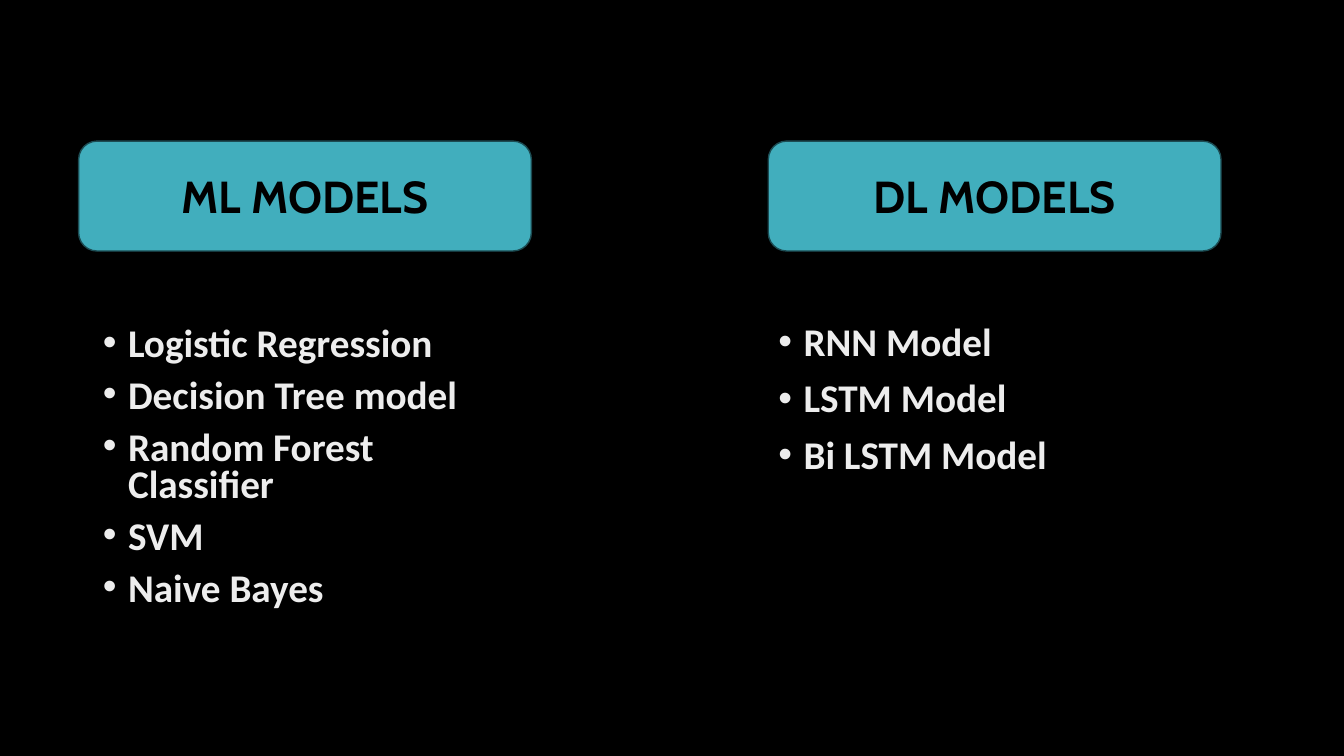
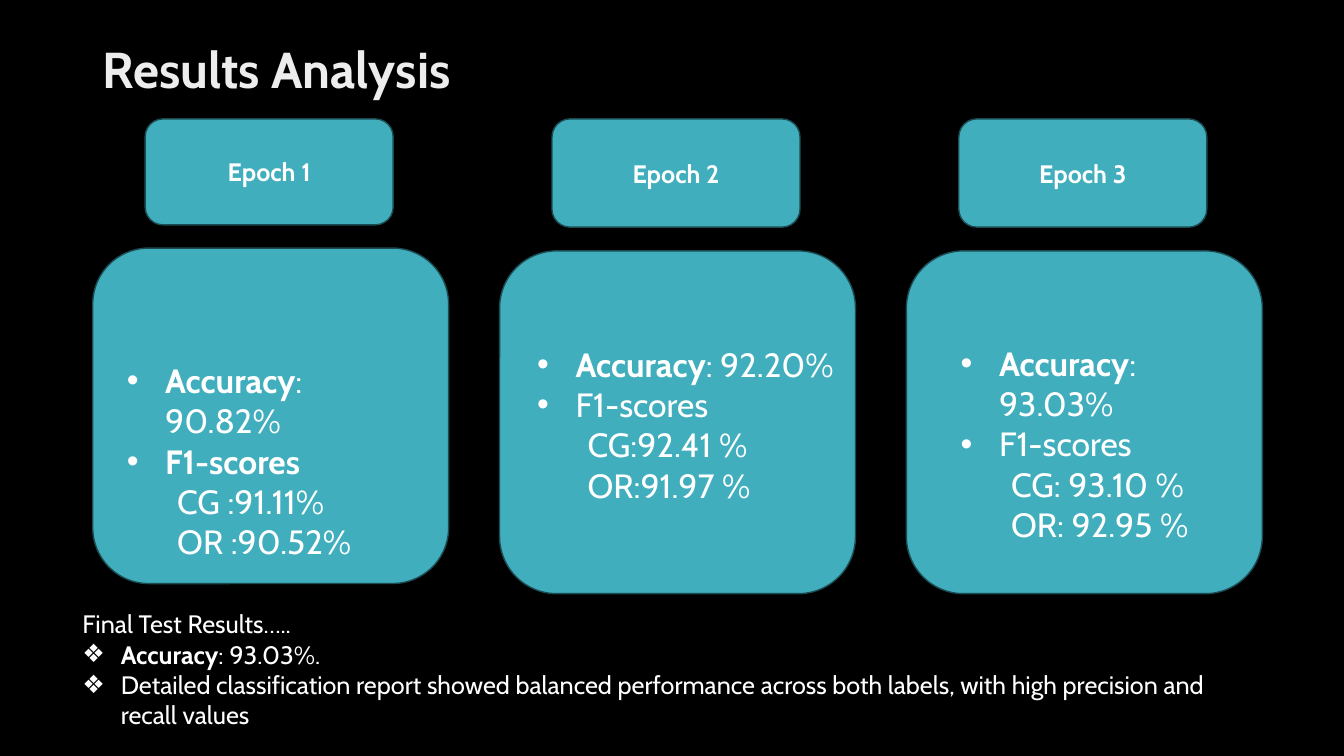
import pptx
import pptx.util
import pptx.dml.color
import pptx.enum.shapes
import pptx.enum.text
import pptx.oxml.ns
import lxml.etree

# Shared style
PX = 9144  # 100 px to the inch
BLACK, WHITE, PALE = "000000", "FFFFFF", "EDEDED"
TEAL, EDGE = "41AEBD", "1C4C53"
HEAD, BODY = "Cabin", "Calibri"
ALIGN = pptx.enum.text.PP_ALIGN
ANCHOR = pptx.enum.text.MSO_ANCHOR


def px(n):
    return pptx.util.Emu(round(n * PX))


def tint(code):
    return pptx.dml.color.RGBColor.from_string(code)


def paint(fill, code):
    fill.solid()
    fill.fore_color.rgb = tint(code)


def place(shape, box):
    shape.left, shape.top, shape.width, shape.height = map(px, box)


def write(para, runs, size, color, font):
    """Add (text, bold) runs to a paragraph."""
    for text, bold in runs:
        run = para.add_run()
        run.text = text
        run.font.name = font
        run.font.size = pptx.util.Pt(size)
        run.font.bold = bold
        run.font.color.rgb = tint(color)


def indent(para, left, hang=0, mark=None):
    """Set the margin, and a hanging bullet if there is a mark."""
    props = para._p.get_or_add_pPr()
    props.set("marL", str(px(left)))
    props.set("indent", str(px(-hang)))
    if mark:
        for tag, key, value in (("a:buFont", "typeface", "Arial"),
                                ("a:buChar", "char", mark)):
            node = lxml.etree.SubElement(props, pptx.oxml.ns.qn(tag))
            node.set(key, value)


def lines(frame, count):
    """Return the given number of paragraphs, the first one included."""
    return [frame.paragraphs[0]] + [frame.add_paragraph()
                                    for _ in range(count - 1)]


def panel(shapes, box, text=None, size=18, color=WHITE):
    """Teal rounded box with an optional centred label."""
    kind = pptx.enum.shapes.MSO_SHAPE.ROUNDED_RECTANGLE
    shape = shapes.add_shape(kind, *map(px, box))
    shape.shadow.inherit = False
    paint(shape.fill, TEAL)
    paint(shape.line.fill, EDGE)
    shape.line.width = pptx.util.Pt(1)
    if text:
        shape.text_frame.vertical_anchor = ANCHOR.MIDDLE
        para = shape.text_frame.paragraphs[0]
        para.alignment = ALIGN.CENTER
        write(para, [(text, True)], size, color, HEAD)


def textbox(slide, box):
    frame = slide.shapes.add_textbox(*map(px, box)).text_frame
    frame.word_wrap = True
    return frame


def holder(shape, box, anchor):
    """Move a placeholder and return its text frame."""
    place(shape, box)
    frame = shape.text_frame
    frame.auto_size = pptx.enum.text.MSO_AUTO_SIZE.NONE
    frame.vertical_anchor = anchor
    return frame


def models(slide, body, x, label, box, names, space):
    """Banner with a bulleted list below it."""
    panel(slide.shapes, (x, 140, 449, 109), label, 32, BLACK)
    frame = holder(body, box, ANCHOR.TOP)
    for para, name in zip(lines(frame, len(names)), names):
        para.line_spacing = space
        para.space_before = pptx.util.Pt(10)
        indent(para, 25, 25, "•")
        write(para, [(name, True)], 28, PALE, BODY)


def epoch(slide, x, y, high, label):
    """Group of a small heading above a large card."""
    shapes = slide.shapes.add_group_shape().shapes
    panel(shapes, (x + 52, y, 246, high * 0.228), label)
    panel(shapes, (x, y + high * 0.278, 353, high * 0.722))


def scores(slide, box, value, strong, marks):
    """Accuracy and F1 figures of one epoch."""
    rows = [[("Accuracy", True), (": " + value, False)],
            [("F1-scores", strong)]] + [[(mark, False)] for mark in marks]
    frame = textbox(slide, box)
    for i, (para, runs) in enumerate(zip(lines(frame, len(rows)), rows)):
        if i < 2:
            indent(para, 38, 38, "•")
        else:
            para.level = 1
            indent(para, 50)
        write(para, runs, 24, WHITE, HEAD)


def final(slide, box):
    """Closing remarks under the cards."""
    rows = [[("Final Test Results…..", False)],
            [("Accuracy", True), (": 93.03%.", False)],
            [("Detailed classification report showed balanced performance "
              "across both labels, with high precision and recall values",
              False)]]
    frame = textbox(slide, box)
    for i, (para, runs) in enumerate(zip(lines(frame, len(rows)), rows)):
        if i:
            indent(para, 38, 38, "❖")
        write(para, runs, 18, WHITE, HEAD)


def list_slide(deck):
    slide = deck.slides.add_slide(deck.slide_layouts[3])
    title = slide.shapes.title.element
    title.getparent().remove(title)
    left, right = slide.placeholders
    models(slide, left, 78, "ML MODELS", (92, 320, 418, 302),
           ["Logistic Regression", "Decision Tree model",
            "Random Forest Classifier", "SVM", "Naive Bayes"], 0.8)
    models(slide, right, 762, "DL MODELS", (762, 315, 418, 302),
           ["RNN Model", "LSTM Model", "Bi LSTM Model"], 0.9)


def result_slide(deck):
    slide = deck.slides.add_slide(deck.slide_layouts[5])
    # Title
    frame = holder(slide.shapes.title, (92, 33, 1150, 78), ANCHOR.MIDDLE)
    para = frame.paragraphs[0]
    para.alignment = ALIGN.LEFT
    para.line_spacing = 0.9
    write(para, [("Results Analysis", True)], 36, PALE, HEAD)
    # Epoch cards: height, text box, accuracy, bold F1, F1 figures
    cards = [
        (461, (116, 352, 314, 172), "90.82%", True,
         ["CG :91.11%", "OR :90.52%"]),
        (471, (523, 336, 339, 172), "92.20%", False,
         ["CG:92.41 %", "OR:91.97 %"]),
        (471, (943, 335, 308, 172), "93.03%", False,
         ["CG: 93.10 %", "OR: 92.95 %"]),
    ]
    for i, (high, box, value, strong, marks) in enumerate(cards):
        epoch(slide, 92 + 403.5 * i, 118, high, f"Epoch {i + 1}")
        scores(slide, box, value, strong, marks)
    final(slide, (72, 599, 1170, 131))


def main():
    deck = pptx.Presentation()
    deck.slide_width, deck.slide_height = px(1333), px(750)
    paint(deck.slide_master.background.fill, BLACK)
    list_slide(deck)
    result_slide(deck)
    deck.save("out.pptx")


if __name__ == "__main__":
    main()
